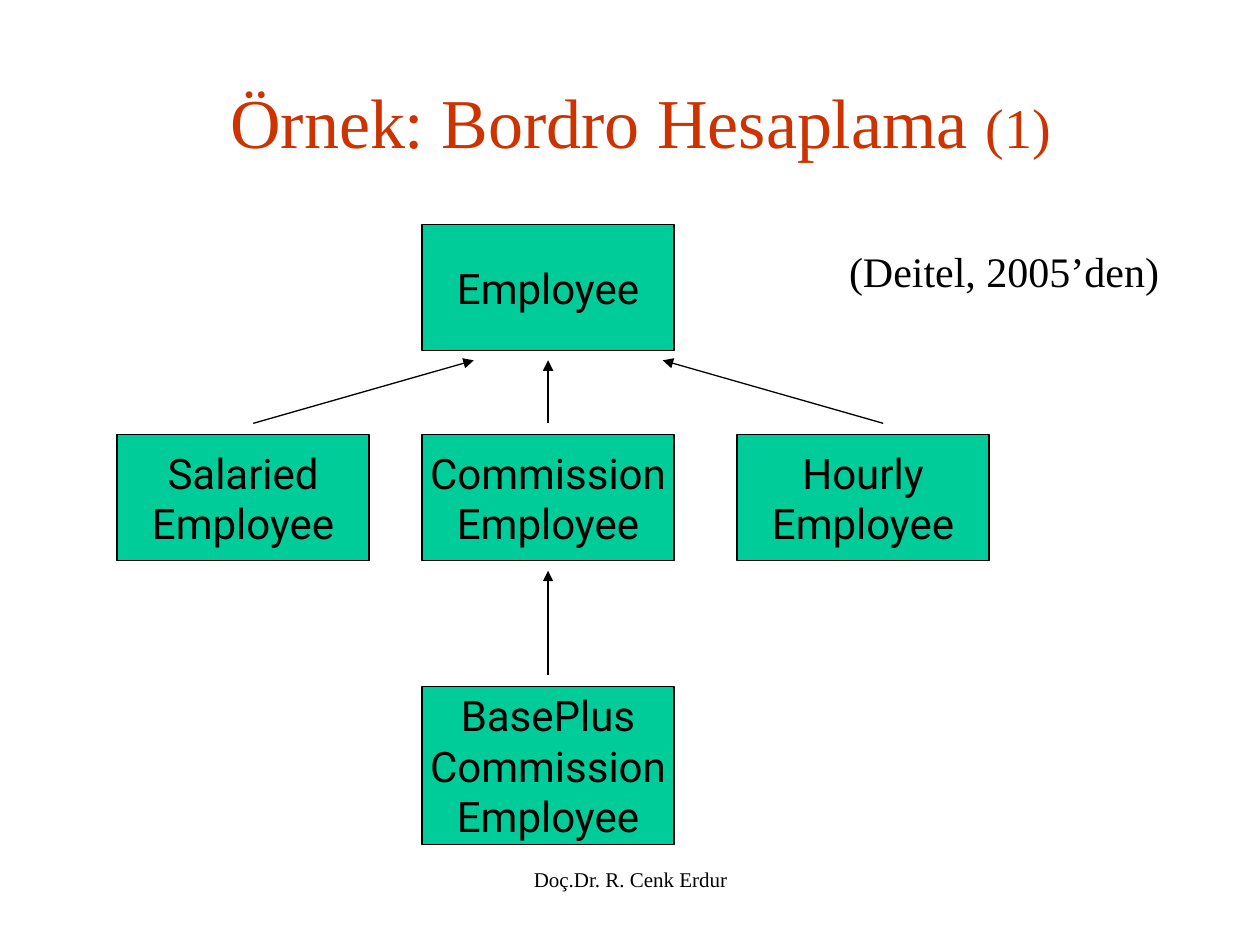
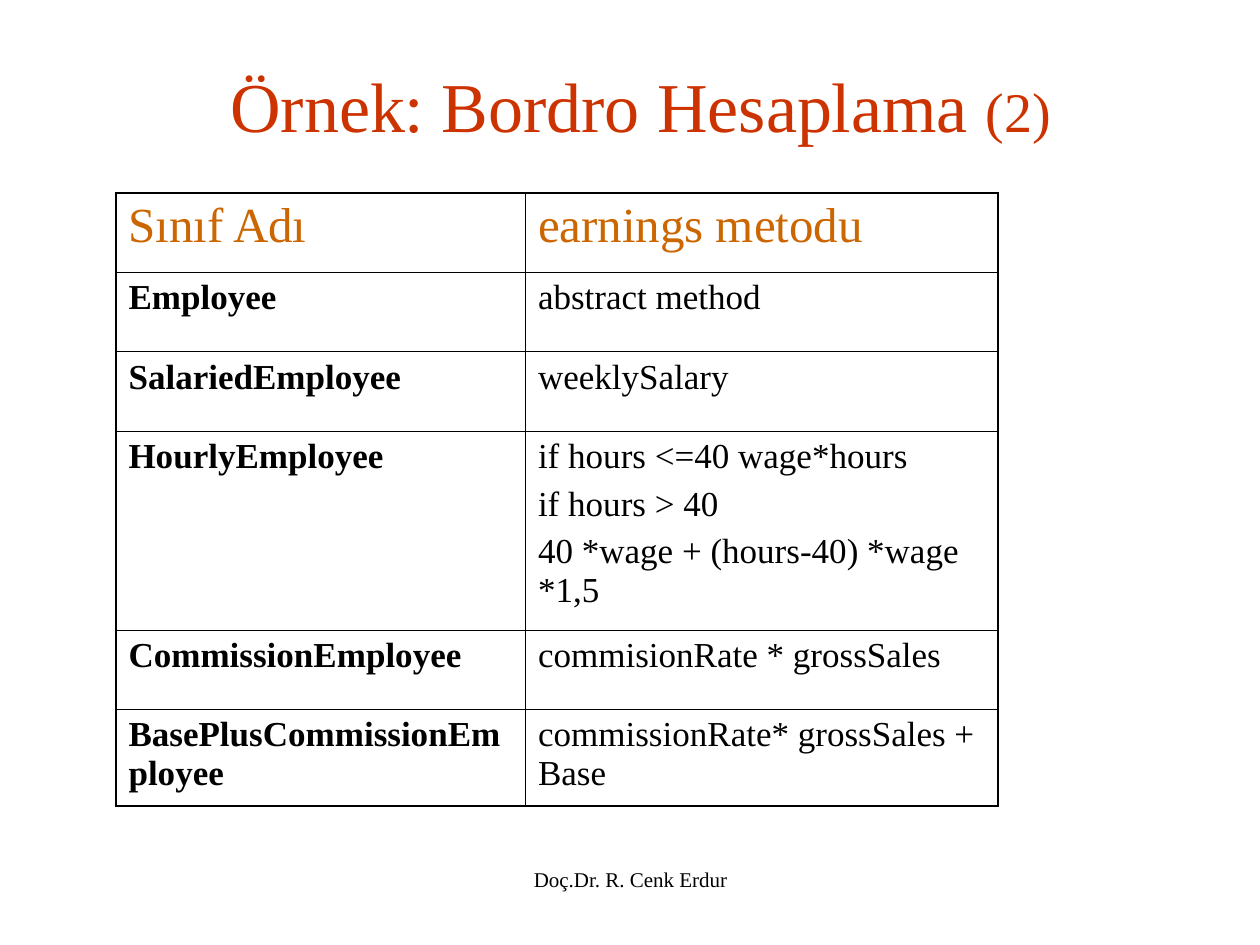
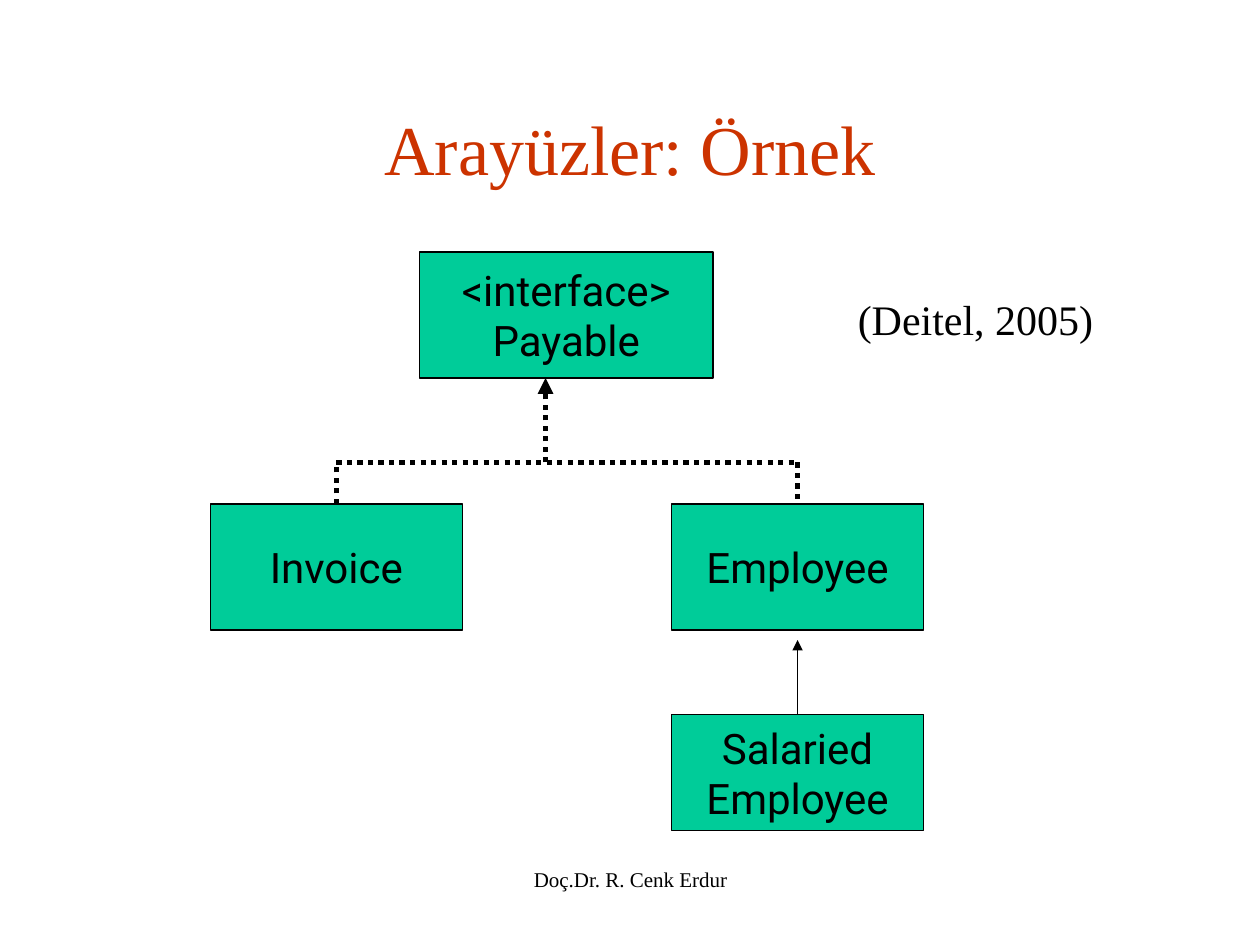
from dataclasses import dataclass

from lxml.etree import SubElement
from pptx import Presentation
from pptx.dml.color import RGBColor
from pptx.enum.dml import MSO_LINE
from pptx.enum.shapes import MSO_CONNECTOR, MSO_SHAPE
from pptx.enum.text import MSO_ANCHOR, MSO_AUTO_SIZE, PP_ALIGN
from pptx.oxml import parse_xml
from pptx.oxml.ns import nsdecls, qn
from pptx.util import Inches, Pt


@dataclass(frozen=True)
class Theme:
    serif: str = "Times New Roman"
    sans: str = "Roboto"
    ink: str = "000000"
    paper: str = "FFFFFF"
    title: str = "CC3300"
    head: str = "CC6600"
    box: str = "00CC99"
    title_size: int = 40
    part_size: int = 32
    head_size: int = 28
    size: int = 24
    cell_size: int = 20
    foot_size: int = 12
    thin: float = 0.75
    thick: float = 3
    rule: float = 0.45
    edge: float = 1.08


def place(shape, left, top, width, height):
    shape.left, shape.top = Inches(left), Inches(top)
    shape.width, shape.height = Inches(width), Inches(height)


def border(cell, widths, color):
    """Draw the cell's left, right, top and bottom lines, in that order."""
    props = cell._tc.get_or_add_tcPr()
    for spot, (side, width) in enumerate(zip("LRTB", widths)):
        props.insert(spot, parse_xml(
            f'<a:ln{side} {nsdecls("a")} w="{int(Pt(width))}">'
            f'<a:solidFill><a:srgbClr val="{color}"/></a:solidFill>'
            f'</a:ln{side}>'))


class Deck:
    def __init__(self, theme):
        self.theme = theme
        self.show = Presentation()
        self.show.slide_width, self.show.slide_height = Inches(10), Inches(7.5)
        self.slide = None

    def style(self, frame, font, size, color, align=PP_ALIGN.LEFT, bold=False):
        for para in frame.paragraphs:
            para.alignment = align
            for run in para.runs:
                run.font.name = font
                run.font.size = Pt(size)
                run.font.bold = bold
                run.font.color.rgb = RGBColor.from_string(color)

    def start(self, title, area, part=""):
        """Add a slide with its title, a smaller part number and the footer."""
        look = self.theme
        self.slide = self.show.slides.add_slide(self.show.slide_layouts[5])
        fill = self.slide.background.fill
        fill.solid()
        fill.fore_color.rgb = RGBColor.from_string(look.paper)
        head = self.slide.shapes.title
        place(head, *area)
        frame = head.text_frame
        frame.text = title
        frame.vertical_anchor = MSO_ANCHOR.MIDDLE
        if part:
            frame.paragraphs[0].add_run().text = part
        self.style(frame, look.serif, look.title_size, look.title, PP_ALIGN.CENTER)
        if part:
            frame.paragraphs[0].runs[-1].font.size = Pt(look.part_size)
        foot = self.text("Doç.Dr. R. Cenk Erdur", (3.42, 6.83, 3.17, 0.5),
                         look.foot_size, PP_ALIGN.CENTER)
        foot.word_wrap = True

    def text(self, words, area, size, align=PP_ALIGN.LEFT):
        frame = self.slide.shapes.add_textbox(*map(Inches, area)).text_frame
        frame.text = words
        self.style(frame, self.theme.serif, size, self.theme.ink, align)
        return frame

    def note(self, words, area):
        frame = self.text(words, area, self.theme.size)
        frame.word_wrap = False
        frame.auto_size = MSO_AUTO_SIZE.SHAPE_TO_FIT_TEXT

    def box(self, words, left, top, width=2, height=1):
        look = self.theme
        shape = self.slide.shapes.add_shape(
            MSO_SHAPE.RECTANGLE, *map(Inches, (left, top, width, height)))
        shape.shadow.inherit = False
        shape.fill.solid()
        shape.fill.fore_color.rgb = RGBColor.from_string(look.box)
        shape.line.color.rgb = RGBColor.from_string(look.ink)
        shape.line.width = Pt(look.thin)
        frame = shape.text_frame
        frame.text = words
        frame.word_wrap = False
        frame.vertical_anchor = MSO_ANCHOR.MIDDLE
        self.style(frame, look.sans, look.size, look.ink, PP_ALIGN.CENTER)
        return shape

    def line(self, start, end, arrow=True, dotted=False):
        look = self.theme
        link = self.slide.shapes.add_connector(
            MSO_CONNECTOR.STRAIGHT, *map(Inches, (*start, *end)))
        link.line.color.rgb = RGBColor.from_string(look.ink)
        link.line.width = Pt(look.thick if dotted else look.thin)
        if dotted:
            link.line.dash_style = MSO_LINE.ROUND_DOT
        if arrow:
            SubElement(link.line._get_or_add_ln(), qn("a:tailEnd"), type="triangle")
        SubElement(link._element.spPr, qn("a:effectLst"))
        return link

    def table(self, rows, left, top, widths, heights):
        look = self.theme
        area = (left, top, sum(widths), sum(heights))
        grid = self.slide.shapes.add_table(
            len(rows), len(widths), *map(Inches, area)).table
        grid.first_row = grid.horz_banding = False
        for col, width in zip(grid.columns, widths):
            col.width = Inches(width)
        for row, height in zip(grid.rows, heights):
            row.height = Inches(height)
        last, end = len(rows) - 1, len(widths) - 1
        for i, row in enumerate(rows):
            for j, words in enumerate(row):
                cell = grid.cell(i, j)
                cell.fill.background()
                outer = (j == 0, j == end, i == 0, i == last)
                border(cell, [look.edge if out else look.rule for out in outer], look.ink)
                frame = cell.text_frame
                frame.text = words
                for para in frame.paragraphs[1:]:
                    para.space_before = Pt(5)
                size, color = ((look.cell_size, look.ink) if i
                               else (look.head_size, look.head))
                self.style(frame, look.serif, size, color, bold=i > 0 and j == 0)


def tree(deck):
    deck.start("Örnek: Bordro Hesaplama ", (0.67, 0.33, 8.83, 1.25), "(1)")
    deck.box("Employee", 3.35, 1.78)
    for kind, left in (("Salaried", 0.93), ("Commission", 3.35), ("Hourly", 5.85)):
        deck.box(f"{kind}\nEmployee", left, 3.45)
    for low, high in ((2.01, 3.76), (4.35, 4.35), (7.01, 5.26)):
        deck.line((low, 3.36), (high, 2.86))
    deck.box("BasePlus\nCommission\nEmployee", 3.35, 5.45, height=1.25)
    deck.line((4.35, 5.36), (4.35, 4.53))
    deck.note("(Deitel, 2005’den)", (6.64, 1.9, 2.66, 0.5))


def pay(deck):
    deck.start("Örnek: Bordro Hesaplama ", (0.67, 0.33, 8.83, 1), "(2)")
    rows = [
        ("Sınıf Adı", "earnings metodu"),
        ("Employee", "abstract method"),
        ("SalariedEmployee", "weeklySalary"),
        ("HourlyEmployee", "if hours <=40 wage*hours\nif hours > 40\n"
                           "40 *wage + (hours-40) *wage *1,5"),
        ("CommissionEmployee", "commisionRate * grossSales"),
        ("BasePlusCommissionEmployee", "commissionRate* grossSales + Base"),
    ]
    deck.table(rows, 0.92, 1.53, (3.25, 3.75), (0.63, 0.63, 0.63, 1.58, 0.63, 0.77))


def faces(deck):
    deck.start("Arayüzler: Örnek", (0.75, 0.67, 8.5, 1))
    deck.box("<interface>\nPayable", 3.33, 2, width=2.33)
    bill = deck.box("Invoice", 1.67, 4)
    staff = deck.box("Employee", 5.33, 4)
    paid = deck.box("Salaried\nEmployee", 5.33, 5.67, height=0.92)
    deck.line((6.33, 5.67), (6.33, 5.08)).begin_connect(paid, 0)
    left, right, bar = 2.67, 6.33, 3.67
    rise = deck.line((left, 4), (left, bar), arrow=False, dotted=True)
    rise.begin_connect(bill, 0)
    deck.line((left, bar), (right, bar), arrow=False, dotted=True)
    drop = deck.line((right, bar), (right, 4), arrow=False, dotted=True)
    drop.end_connect(staff, 0)
    deck.line((4.33, bar), (4.33, 3), dotted=True)
    deck.note("(Deitel, 2005)", (6.71, 2.28, 2.07, 0.5))


def main():
    deck = Deck(Theme())
    for build in (tree, pay, faces):
        build(deck)
    deck.show.save("out.pptx")


if __name__ == "__main__":
    main()
